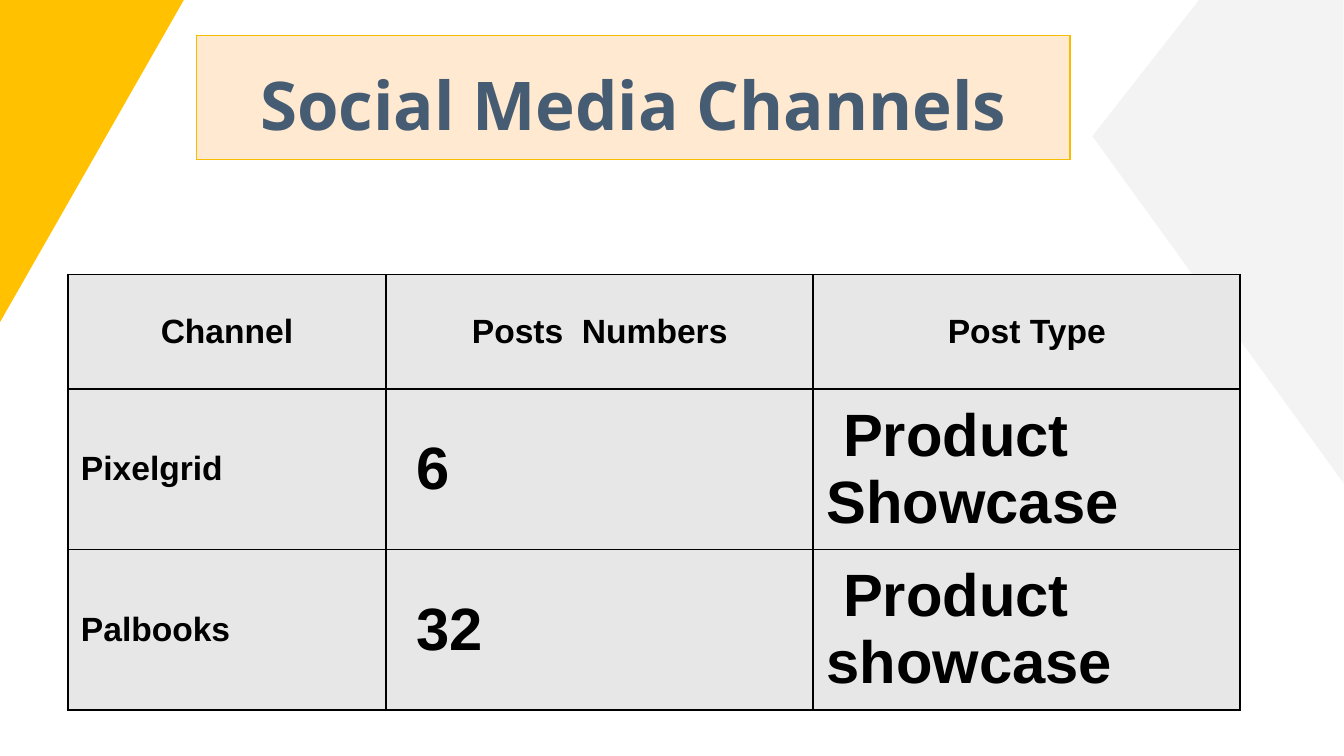
import pptx
import pptx.dml.color
import pptx.enum.shapes
import pptx.enum.text
import pptx.oxml
import pptx.oxml.ns
import pptx.util
from pptx.util import Cm

SHAPE = pptx.enum.shapes.MSO_SHAPE
ALIGN = pptx.enum.text.PP_ALIGN
ANCHOR = pptx.enum.text.MSO_ANCHOR

HEADER = ["Channel", "Posts  Numbers", "Post Type"]
CHANNELS = [
    ["Pixelgrid", " 6", " Product Showcase"],
    ["Palbooks", " 32", " Product showcase"],
]


def color(hex_value):
    return pptx.dml.color.RGBColor.from_string(hex_value)


class Deck:
    """Holds the style and the current slide."""

    yellow, grey, peach, gold = "FFC100", "F3F3F3", "FFE9D0", "F9BD00"
    title_color, cell_fill, ink = "465C73", "E7E7E7", "000000"
    title_font, body_font = "Noto Sans", "Arial"
    title_size, label_size, value_size = 36, 18, 32

    def __init__(self, prs):
        self.prs = prs
        self.s = None

    def add_slide(self):
        self.s = self.prs.slides.add_slide(self.prs.slide_layouts[6])

    def add_triangle(self, kind, x, y, w, h, rotation, fill):
        sp = self.s.shapes.add_shape(kind, Cm(x), Cm(y), Cm(w), Cm(h))
        sp.rotation = rotation
        sp.shadow.inherit = False
        sp.fill.solid()
        sp.fill.fore_color.rgb = color(fill)
        sp.line.fill.background()
        return sp

    def add_table(self, x, y, widths, heights):
        table = self.s.shapes.add_table(
            len(heights), len(widths), Cm(x), Cm(y),
            Cm(sum(widths)), Cm(sum(heights))).table
        table.first_row = table.horz_banding = False
        for column, width in zip(table.columns, widths):
            column.width = Cm(width)
        for row, height in zip(table.rows, heights):
            row.height = Cm(height)
        return table

    def set_borders(self, cell, hex_value, width):
        tc_pr = cell._tc.get_or_add_tcPr()
        for side in ("lnL", "lnR", "lnT", "lnB"):
            tc_pr.append(pptx.oxml.parse_xml(
                f'<a:{side} {pptx.oxml.ns.nsdecls("a")} w="{pptx.util.Pt(width)}">'
                f'<a:solidFill><a:srgbClr val="{hex_value}"/></a:solidFill></a:{side}>'))

    def style_cell(self, cell, fill, border, border_width, margin):
        self.set_borders(cell, border, border_width)
        cell.fill.solid()
        cell.fill.fore_color.rgb = color(fill)
        cell.margin_left = cell.margin_right = Cm(margin)
        cell.margin_top = cell.margin_bottom = Cm(margin)

    def write_cell(self, cell, text, font, size, hex_value, align):
        p = cell.text_frame.paragraphs[0]
        p.alignment = align
        r = p.add_run()
        r.text = text
        r.font.name = font
        r.font.size = pptx.util.Pt(size)
        r.font.bold = True
        r.font.color.rgb = color(hex_value)
        return p

    def add_title_table(self, text, x, y, w, h):
        cell = self.add_table(x, y, [w], [h]).cell(0, 0)
        self.style_cell(cell, self.peach, self.gold, 0.75, 0.18)
        p = self.write_cell(cell, text, self.title_font, self.title_size,
                            self.title_color, ALIGN.CENTER)
        p.line_spacing = 1.15
        p.space_before = pptx.util.Pt(30)
        p.space_after = pptx.util.Pt(10)

    def add_channel_table(self, rows, x, y, widths, heights):
        """Centre the first row; set the values beside each row label larger."""
        table = self.add_table(x, y, widths, heights)
        for i, texts in enumerate(rows):
            for j, text in enumerate(texts):
                cell = table.cell(i, j)
                self.style_cell(cell, self.cell_fill, self.ink, 1, 0.25)
                cell.vertical_anchor = ANCHOR.MIDDLE
                size = self.value_size if i and j else self.label_size
                align = ALIGN.LEFT if i else ALIGN.CENTER
                self.write_cell(cell, text, self.body_font, size, self.ink, align)


def main():
    prs = pptx.Presentation()
    prs.slide_width, prs.slide_height = Cm(25.4), Cm(14.29)
    deck = Deck(prs)
    deck.add_slide()
    corner = deck.add_triangle(SHAPE.ISOSCELES_TRIANGLE, 16.71, 0.45,
                               12.62, 4.75, 270, deck.grey)
    corner.adjustments[0] = 0.52
    deck.add_triangle(SHAPE.RIGHT_TRIANGLE, -1.31, 1.3, 6.1, 3.48, 90, deck.yellow)
    deck.add_title_table("Social Media Channels", 3.71, 0.67, 16.51, 1.98)
    deck.add_channel_table([HEADER] + CHANNELS, 1.28, 5.19,
                           [6.02, 8.07, 8.07], [2.16, 2.51, 2.51])
    prs.save("out.pptx")


if __name__ == "__main__":
    main()
